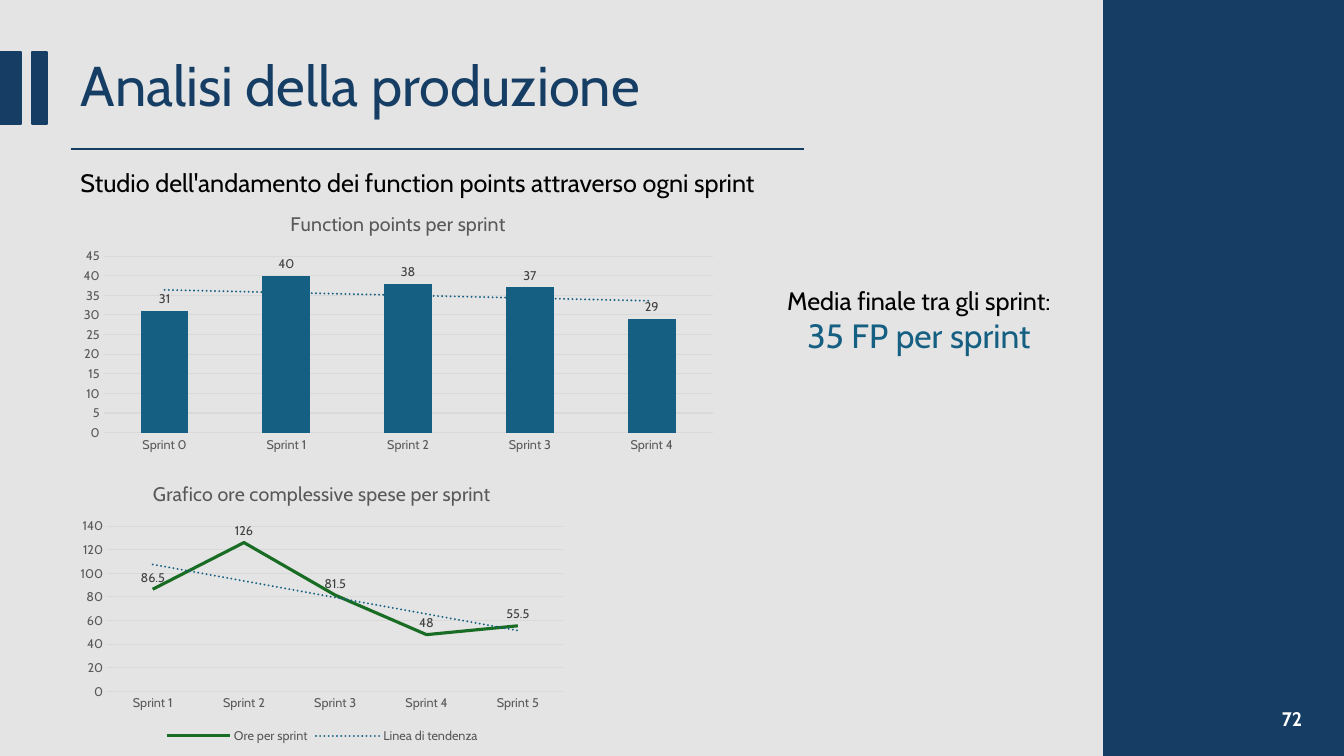
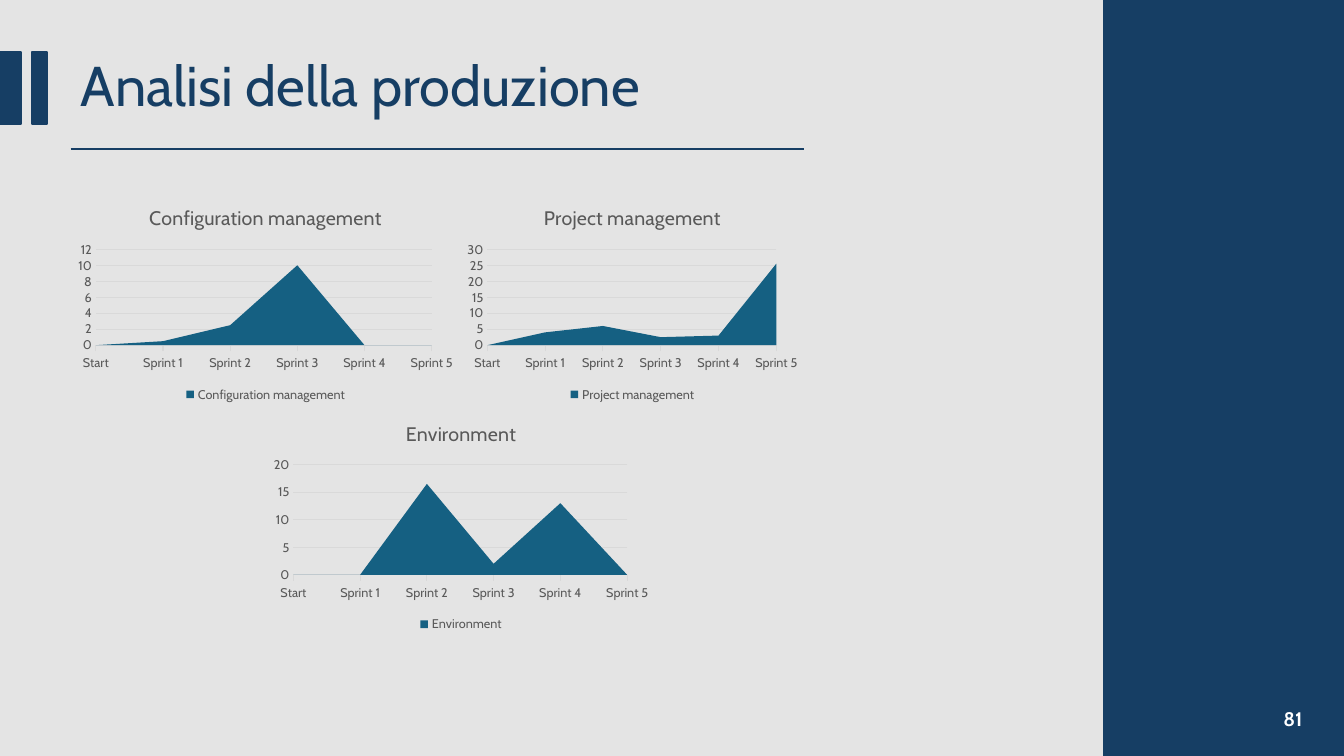
from lxml import etree
from pptx import Presentation
from pptx.chart.data import CategoryChartData
from pptx.dml.color import RGBColor
from pptx.enum.chart import XL_CHART_TYPE, XL_LABEL_POSITION, XL_LEGEND_POSITION, XL_TICK_MARK
from pptx.enum.shapes import MSO_CONNECTOR, MSO_SHAPE
from pptx.enum.text import MSO_ANCHOR, PP_ALIGN
from pptx.oxml import parse_xml
from pptx.oxml.ns import nsdecls, qn
from pptx.util import Pt

COLUMN, LINE, AREA = XL_CHART_TYPE.COLUMN_CLUSTERED, XL_CHART_TYPE.LINE, XL_CHART_TYPE.AREA
LABEL_ABOVE, LABEL_OUTSIDE = XL_LABEL_POSITION.ABOVE, XL_LABEL_POSITION.OUTSIDE_END
LEGEND_BOTTOM = XL_LEGEND_POSITION.BOTTOM
TICK_NONE, TICK_OUT = XL_TICK_MARK.NONE, XL_TICK_MARK.OUTSIDE
RECT, STRAIGHT = MSO_SHAPE.RECTANGLE, MSO_CONNECTOR.STRAIGHT
TOP, MIDDLE = MSO_ANCHOR.TOP, MSO_ANCHOR.MIDDLE
LEFT, CENTER, RIGHT = PP_ALIGN.LEFT, PP_ALIGN.CENTER, PP_ALIGN.RIGHT

FONT = "Cabin"
NAVY = RGBColor(0x16, 0x3E, 0x64)
TEAL = RGBColor(0x15, 0x60, 0x82)
GREEN = RGBColor(0x18, 0x6C, 0x24)
PAPER = RGBColor(0xE4, 0xE4, 0xE4)
GRID = RGBColor(0xD9, 0xD9, 0xD9)
GREY = RGBColor(0x59, 0x59, 0x59)
DARK = RGBColor(0x40, 0x40, 0x40)
BLACK = RGBColor(0, 0, 0)
WHITE = RGBColor(0xFF, 0xFF, 0xFF)

# Shared frame, in points: left, top, width, height
WIDTH, HEIGHT = 960, 540
MARGIN = 50.4
TITLE_BOX = (MARGIN, 37.4, 586, 51)
BANDS = [(0, 37.4, 15.1, 51), (23, 37.4, 10.8, 51), (788.4, 0, 171.6, HEIGHT)]
RULE_Y, RULE_END = 106.5, 574.5
NUMBER_BOX = (721.4, 499, 216, 29)

# Content
SPRINTS = [f"Sprint {n}" for n in range(6)]
FROM_START = ["Start"] + SPRINTS[1:]
SLIDES = [
    {
        "title": "Analisi della produzione",
        "number": "72",
        "texts": [
            {"box": (MARGIN, 116, 524, 29), "align": LEFT, "lines": [
                ("Studio dell'andamento dei function points attraverso ogni sprint", 18, BLACK)]},
            {"box": (548, 200, 216.7, 58.2), "align": CENTER, "lines": [
                ("Media finale tra gli sprint:", 18, BLACK),
                ("35 FP per sprint", 24, TEAL)]},
        ],
        "charts": [
            {"kind": COLUMN, "box": (MARGIN, 140.4, 468, 186.5),
             "title": "Function points per sprint", "series": "Function points",
             "cats": SPRINTS[:5], "values": [31, 40, 38, 37, 29], "scale": (45, 5)},
            {"kind": LINE, "box": (MARGIN, 332.6, 359.3, 201.6),
             "title": "Grafico ore complessive spese per sprint", "series": "Ore per sprint",
             "cats": SPRINTS[1:], "values": [86.5, 126, 81.5, 48, 55.5], "scale": (140, 20)},
        ],
    },
    {
        "title": "Analisi della produzione",
        "number": "81",
        "texts": [],
        "charts": [
            {"kind": AREA, "box": box, "title": name, "series": name,
             "cats": FROM_START, "values": values, "scale": scale}
            for name, box, values, scale in [
                ("Configuration management", (MARGIN, 136.8, 278.6, 153.4),
                 [None, 0.5, 2.5, 10, 0, 0], (12, 2)),
                ("Project management", (329, 136.8, 245.5, 153.4),
                 [None, 4, 6, 2.5, 3, 25.5], (30, 5)),
                ("Environment", (190, 290.2, 278.6, 164.2),
                 [None, 0, 16.5, 2, 13, 0], (20, 5)),
            ]
        ],
    },
]


def points(box):
    return [Pt(v) for v in box]


def set_font(font, size, color, bold=False):
    font.name, font.size, font.bold = FONT, Pt(size), bold
    font.color.rgb = color


def add_text(s, box, lines, align, anchor=TOP, bold=False):
    tf = s.shapes.add_textbox(*points(box)).text_frame
    tf.word_wrap = True
    tf.vertical_anchor = anchor
    for i, (text, size, color) in enumerate(lines):
        p = tf.add_paragraph() if i else tf.paragraphs[0]
        p.text, p.alignment = text, align
        set_font(p.font, size, color, bold)


def add_frame(s, title, number):
    # Title
    sp = s.shapes.title
    sp.left, sp.top, sp.width, sp.height = points(TITLE_BOX)
    tf = sp.text_frame
    tf.text, tf.vertical_anchor = title, MIDDLE
    p = tf.paragraphs[0]
    p.alignment, p.line_spacing = LEFT, 0.9
    set_font(p.font, 40, NAVY)
    # Bands
    for box in BANDS:
        sp = s.shapes.add_shape(RECT, *points(box))
        sp.shadow.inherit = False
        sp.fill.solid()
        sp.fill.fore_color.rgb = NAVY
        sp.line.color.rgb, sp.line.width = NAVY, Pt(1.5)
    # Rule below the title
    rule = s.shapes.add_connector(STRAIGHT, *points((MARGIN, RULE_Y, RULE_END, RULE_Y)))
    rule.line.color.rgb, rule.line.width = NAVY, Pt(1.5)
    etree.SubElement(rule.element.spPr, qn("a:effectLst"))
    # Slide number
    add_text(s, NUMBER_BOX, [(number, 14, WHITE)], RIGHT, MIDDLE, True)


def add_trendline(series):
    trend = parse_xml(
        f'<c:trendline {nsdecls("c", "a")}><c:name>Linea di tendenza</c:name>'
        f'<c:spPr><a:ln w="{Pt(1.5)}" cap="rnd"><a:solidFill><a:srgbClr val="{TEAL}"/></a:solidFill>'
        '<a:prstDash val="sysDot"/></a:ln></c:spPr><c:trendlineType val="linear"/>'
        '<c:dispRSqr val="0"/><c:dispEq val="0"/></c:trendline>')
    series._element.find(qn("c:cat")).addprevious(trend)


def style_axes(chart, kind, scale):
    cat, val = chart.category_axis, chart.value_axis
    for axis in (cat, val):
        set_font(axis.tick_labels.font, 9, GREY)
        axis.major_tick_mark = axis.minor_tick_mark = TICK_NONE
    cat.has_major_gridlines = False
    cat.format.line.color.rgb, cat.format.line.width = GRID, Pt(0.75)
    val.format.line.fill.background()
    val.minimum_scale = 0
    val.maximum_scale, val.major_unit = scale
    val.has_major_gridlines = True
    grid = val.major_gridlines.format.line
    grid.color.rgb, grid.width = GRID, Pt(0.75)
    if kind == AREA:
        cat.major_tick_mark = TICK_OUT
        # The area reaches both edges, and blanks count as zero
        for tag, value in (("c:crossBetween", "midCat"), ("c:dispBlanksAs", "zero")):
            for el in chart.element.iter(qn(tag)):
                el.set("val", value)


def add_chart(s, kind, box, title, series, cats, values, scale):
    data = CategoryChartData()
    data.categories = cats
    data.add_series(series, values)
    chart = s.shapes.add_chart(kind, *points(box), data).chart
    set_font(chart.font, 10, BLACK)
    chart.has_title = True
    p = chart.chart_title.text_frame.paragraphs[0]
    p.text = title
    set_font(p.font, 14, GREY)
    style_axes(chart, kind, scale)

    chart.has_legend = kind != COLUMN
    if chart.has_legend:
        chart.legend.position = LEGEND_BOTTOM
        chart.legend.include_in_layout = False
        set_font(chart.legend.font, 9, GREY)

    plot = chart.plots[0]
    plot.vary_by_categories = False
    ser = plot.series[0]
    if kind == LINE:
        ser.smooth = False
        ser.format.line.color.rgb, ser.format.line.width = GREEN, Pt(2.25)
    else:
        ser.format.fill.solid()
        ser.format.fill.fore_color.rgb = TEAL
    if kind == COLUMN:
        plot.gap_width, plot.overlap = 155, -27
    if kind != AREA:
        labels = ser.data_labels
        labels.show_value = True
        labels.position = LABEL_ABOVE if kind == LINE else LABEL_OUTSIDE
        set_font(labels.font, 9, DARK)
        add_trendline(ser)


def main():
    prs = Presentation()
    prs.slide_width, prs.slide_height = Pt(WIDTH), Pt(HEIGHT)
    fill = prs.slide_master.background.fill
    fill.solid()
    fill.fore_color.rgb = PAPER
    for content in SLIDES:
        s = prs.slides.add_slide(prs.slide_layouts[5])
        add_frame(s, content["title"], content["number"])
        for text in content["texts"]:
            add_text(s, **text)
        for chart in content["charts"]:
            add_chart(s, **chart)
    prs.save("out.pptx")


if __name__ == "__main__":
    main()
